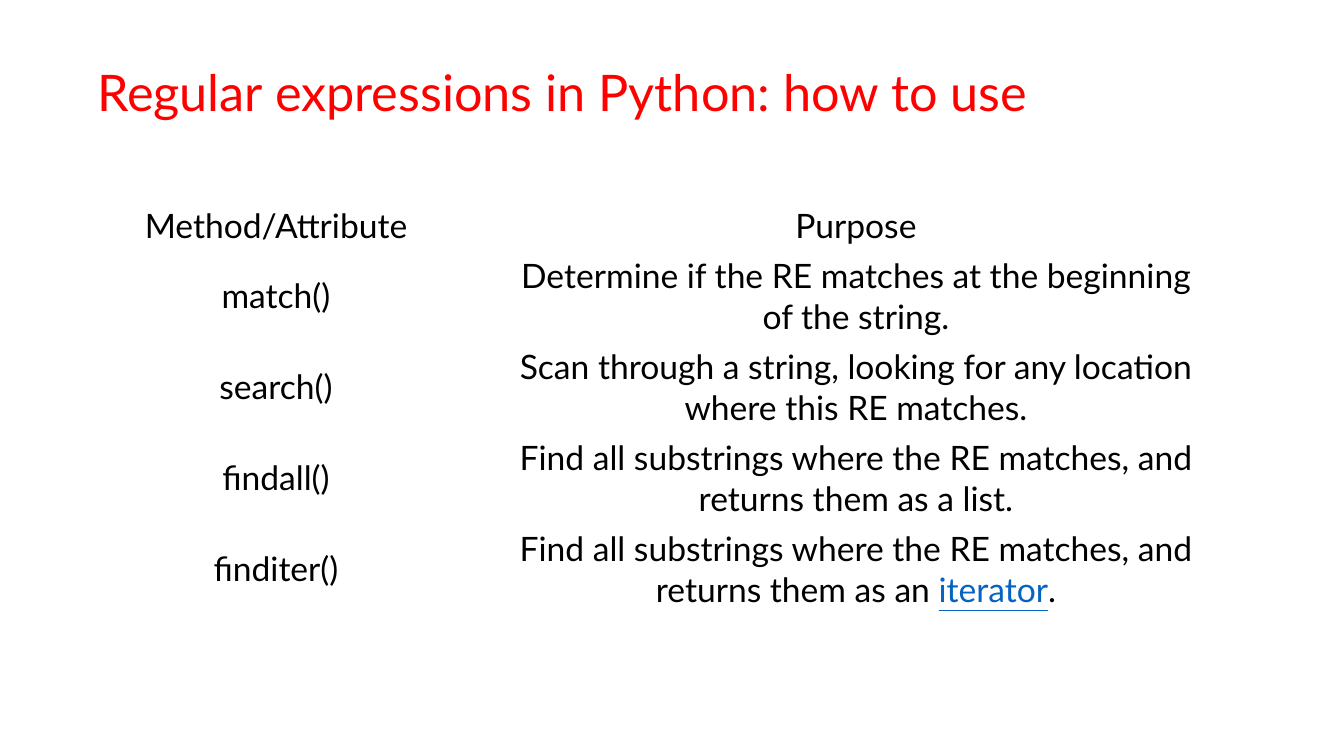
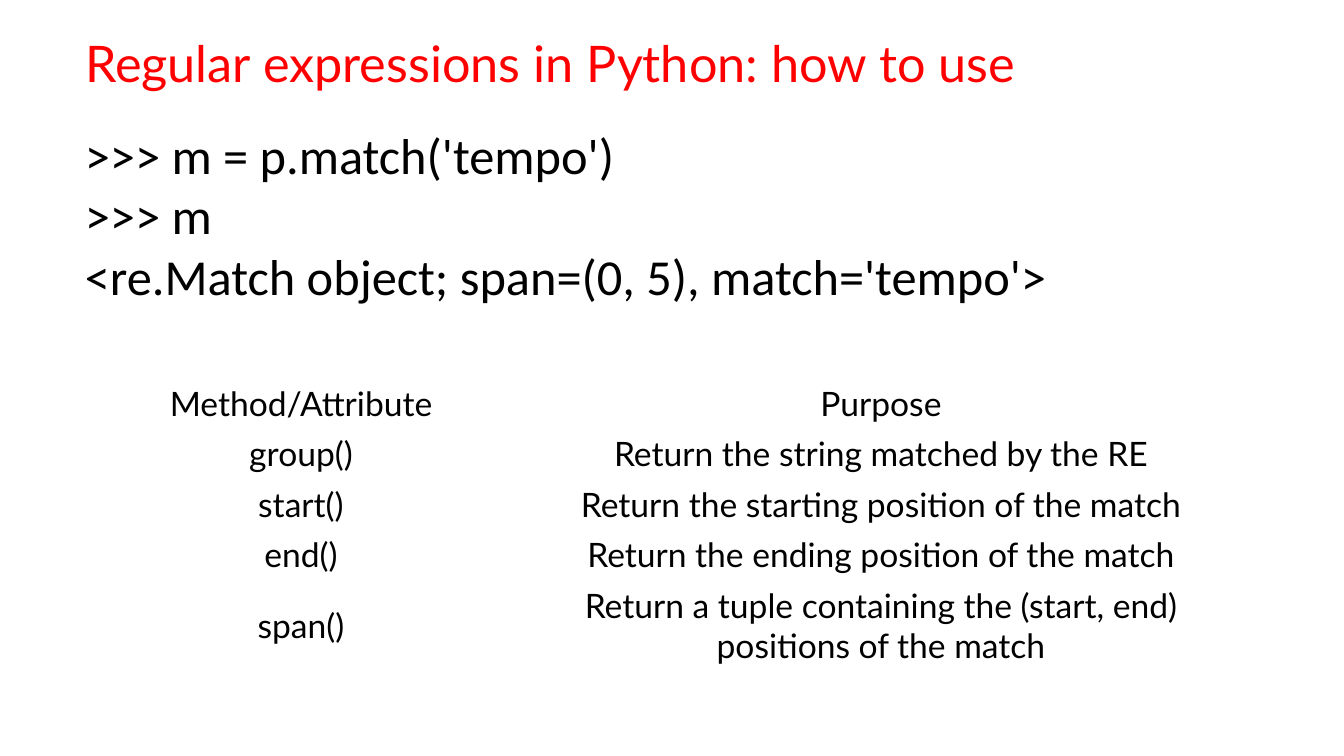
from dataclasses import dataclass

from pptx import Presentation
from pptx.dml.color import RGBColor
from pptx.enum.text import MSO_ANCHOR as Anchor, MSO_AUTO_SIZE as AutoSize, PP_ALIGN as Align
from pptx.oxml.ns import qn
from pptx.slide import Slide
from pptx.text.text import TextFrame
from pptx.util import Emu, Pt

# Shared look
PIXEL = 914400 / 100.8
PAGE_WIDTH, PAGE_HEIGHT = 1344, 756
RED = RGBColor(0xFF, 0x00, 0x00)
BLACK = RGBColor(0x00, 0x00, 0x00)
LINK_BLUE = RGBColor(0x05, 0x63, 0xC1)
TITLE_FONT, CODE_FONT = "Lato", "Calibri"
TITLE_ONLY = 5
TITLE = "Regular expressions in Python: how to use"
HEADER = ("Method/Attribute", "Purpose")
TITLE_WIDTH, TITLE_HEIGHT = 1091, 71
ROW_HEIGHT, LINE_HEIGHT = 50, 41
PLAIN_TABLE_STYLE = "{2D5ABB26-0587-4C30-8999-92F81FD0307C}"


@dataclass(frozen=True)
class Method:
    name: str
    purpose: str
    linked: str = ""  # word of the purpose styled as a link
    lines: int = 1


@dataclass(frozen=True)
class MethodTable:
    left: int
    top: int
    columns: tuple[int, int]
    methods: tuple[Method, ...]


@dataclass(frozen=True)
class Page:
    title_left: int
    title_top: int
    table: MethodTable
    code: tuple[str, ...] = ()


PAGES = (
    Page(87, 56, MethodTable(43, 200, (466, 694), (
        Method("match()", "Determine if the RE matches at the beginning of the string.",
               lines=2),
        Method("search()", "Scan through a string, looking for any location where this RE "
               "matches.", lines=2),
        Method("findall()", "Find all substrings where the RE matches, and returns them as "
               "a list.", lines=2),
        Method("finditer()", "Find all substrings where the RE matches, and returns them as "
               "an iterator.", linked="iterator", lines=2),
    ))),
    Page(75, 27, MethodTable(75, 378, (452, 708), (
        Method("group()", "Return the string matched by the RE"),
        Method("start()", "Return the starting position of the match"),
        Method("end()", "Return the ending position of the match"),
        Method("span()", "Return a tuple containing the (start, end) positions of the match",
               lines=2),
    )), code=(
        ">>> m = p.match('tempo')",
        ">>> m",
        "<re.Match object; span=(0, 5), match='tempo'>",
    )),
)


def px(pixels: int) -> Emu:
    return Emu(round(pixels * PIXEL))


def write(frame: TextFrame, *lines: str, size: int, font: str = TITLE_FONT,
          color: RGBColor = BLACK, align: Align = Align.LEFT, linked: str = "") -> None:
    """Write one paragraph per line, with an optional word styled as a link."""
    frame.word_wrap = True
    for index, line in enumerate(lines):
        para = frame.paragraphs[0] if index == 0 else frame.add_paragraph()
        para.alignment = align
        for part in line.partition(linked) if linked else (line,):
            span = para.add_run()
            span.text = part
            span.font.name = font
            span.font.size = Pt(size)
            is_link = bool(linked) and part == linked
            span.font.underline = is_link
            span.font.color.rgb = LINK_BLUE if is_link else color


def add_title(slide: Slide, left: int, top: int) -> None:
    title = slide.shapes.title
    title.left, title.top = px(left), px(top)
    title.width, title.height = px(TITLE_WIDTH), px(TITLE_HEIGHT)
    title.text_frame.auto_size = AutoSize.SHAPE_TO_FIT_TEXT
    title.text_frame.vertical_anchor = Anchor.TOP
    write(title.text_frame, TITLE, size=36, color=RED)


def add_code(slide: Slide, lines: tuple[str, ...]) -> None:
    box = slide.shapes.add_textbox(px(75), px(119), px(1240), px(194))
    box.text_frame.auto_size = AutoSize.SHAPE_TO_FIT_TEXT
    write(box.text_frame, *lines, size=36, font=CODE_FONT)


def add_method_table(slide: Slide, content: MethodTable) -> None:
    rows = (Method(*HEADER), *content.methods)
    heights = [ROW_HEIGHT + (row.lines - 1) * LINE_HEIGHT for row in rows]
    table = slide.shapes.add_table(
        len(rows), len(content.columns), px(content.left), px(content.top),
        px(sum(content.columns)), px(sum(heights))).table
    # Plain style without grid or bands
    table.first_row = table.horz_banding = False
    next(table._tbl.iter(qn("a:tableStyleId"))).text = PLAIN_TABLE_STYLE
    for column, width in zip(table.columns, content.columns):
        column.width = px(width)
    for index, (row, height) in enumerate(zip(rows, heights)):
        table.rows[index].height = px(height)
        for cell, text, linked in zip(table.rows[index].cells, (row.name, row.purpose),
                                      ("", row.linked)):
            cell.fill.background()
            cell.vertical_anchor = Anchor.MIDDLE
            write(cell.text_frame, text, size=24, align=Align.CENTER, linked=linked)


# Build the deck
deck = Presentation()
deck.slide_width, deck.slide_height = px(PAGE_WIDTH), px(PAGE_HEIGHT)
for page in PAGES:
    slide = deck.slides.add_slide(deck.slide_layouts[TITLE_ONLY])
    add_title(slide, page.title_left, page.title_top)
    if page.code:
        add_code(slide, page.code)
    add_method_table(slide, page.table)
deck.save("out.pptx")
